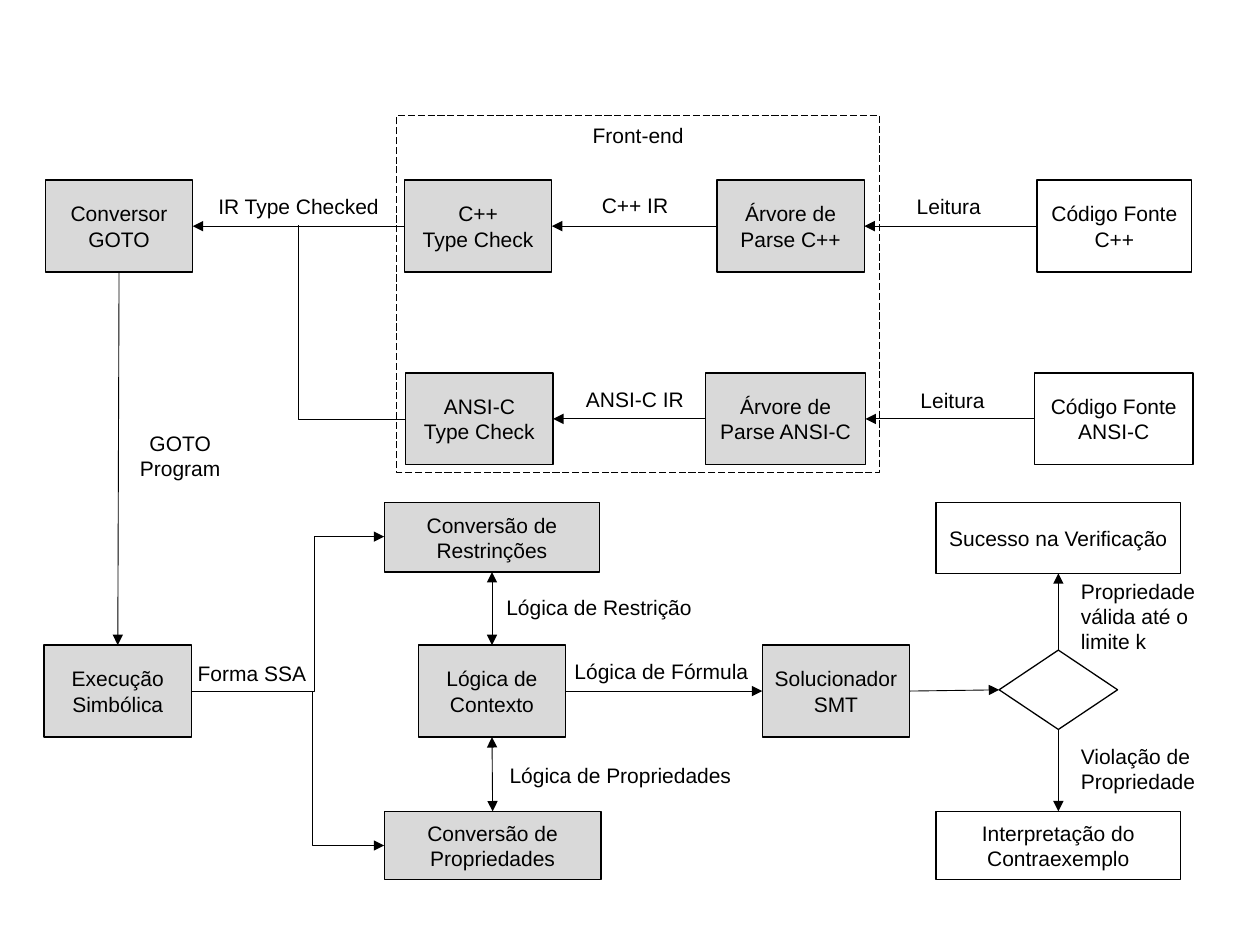
from typing import NamedTuple

from lxml.etree import SubElement
from pptx import Presentation
from pptx.dml.color import RGBColor
from pptx.enum.dml import MSO_LINE
from pptx.enum.shapes import MSO_CONNECTOR as Link, MSO_SHAPE as Preset
from pptx.enum.text import MSO_ANCHOR as Anchor, PP_ALIGN as Align
from pptx.oxml.ns import qn
from pptx.util import Inches, Pt

BLACK, WHITE, GREY = "000000", "FFFFFF", "D9D9D9"
TOP, LEFT, BOTTOM, RIGHT = range(4)  # connection sites


class Box(NamedTuple):
    """A stage of the verification flow."""
    key: str
    text: str
    left: float
    top: float
    width: float = 1.17
    height: float = 0.73
    fill: str = GREY
    preset: Preset = Preset.RECTANGLE


class Label(NamedTuple):
    """Free text beside an arrow."""
    text: str
    left: float
    top: float
    width: float
    height: float = 0.3
    align: Align = Align.CENTER


class Arrow(NamedTuple):
    """A straight arrow between the sites of two boxes."""
    start: str
    start_site: int
    end: str
    end_site: int
    double: bool = False


class Elbow(NamedTuple):
    """A bent line; bend is the share of the width before the turn."""
    start: tuple[float, float]
    end: tuple[float, float]
    bend: float
    arrow: bool = True


CPP_ROW, C_ROW, SMT_ROW = 1.43, 2.96, 5.12
BOXES = [
    Box("interpretation", "Interpretação do Contraexemplo", 7.43, 6.44, 1.94, 0.54, WHITE),
    Box("success", "Sucesso na Verificação", 7.43, 3.99, 1.94, 0.56, WHITE),
    Box("solver", "Solucionador\nSMT", 6.05, SMT_ROW),
    Box("properties", "Conversão de Propriedades", 3.05, 6.44, 1.72, 0.54),
    Box("constraints", "Conversão de Restrinções", 3.05, 3.99, 1.71, 0.55),
    Box("context", "Lógica de\nContexto", 3.32, SMT_ROW),
    Box("execution", "Execução Simbólica", 0.35, SMT_ROW),
    Box("converter", "Conversor GOTO", 0.36, CPP_ROW),
    Box("cpp check", "C++\nType Check", 3.21, CPP_ROW),
    Box("cpp tree", "Árvore de Parse C++", 5.69, CPP_ROW),
    Box("cpp source", "Código Fonte C++", 8.23, CPP_ROW, 1.23, fill=WHITE),
    Box("decision", "", 7.93, 5.16, 0.94, 0.63, WHITE, Preset.FLOWCHART_DECISION),
    Box("c source", "Código Fonte ANSI-C", 8.21, C_ROW, 1.26, fill=WHITE),
    Box("c check", "ANSI-C\nType Check", 3.22, C_ROW),
    Box("c tree", "Árvore de Parse ANSI-C", 5.6, C_ROW, 1.27),
]
FRONT_END = Box("front-end", "Front-end", 3.15, 0.92, 3.83, 2.83, fill="")
LABELS = [
    Label("Propriedade válida até o limite k", 8.48, 4.54, 1.2, 0.71, Align.LEFT),
    Label("Violação de Propriedade", 8.48, 5.85, 1.2, 0.5, Align.LEFT),
    Label("Leitura", 7.04, 1.49, 0.98),
    Label("C++ IR", 4.49, 1.48, 1.1),
    Label("IR Type Checked", 1.45, 1.49, 1.84),
    Label("GOTO\nProgram", 0.94, 3.37, 0.98, 0.5),
    Label("Forma SSA", 1.45, 5.19, 1.1),
    Label("ANSI-C IR", 4.49, 3.02, 1.1),
    Label("Leitura", 7.07, 3.03, 0.98),
    Label("Lógica de Fórmula", 4.45, 5.18, 1.6),
    Label("Lógica de Propriedades", 3.91, 6, 2.03),
    Label("Lógica de Restrição", 3.91, 4.67, 1.69),
]
ARROWS = [
    Arrow("cpp source", LEFT, "cpp tree", RIGHT),
    Arrow("cpp tree", LEFT, "cpp check", RIGHT),
    Arrow("cpp check", LEFT, "converter", RIGHT),
    Arrow("c source", LEFT, "c tree", RIGHT),
    Arrow("c tree", LEFT, "c check", RIGHT),
    Arrow("converter", BOTTOM, "execution", TOP),
    Arrow("context", TOP, "constraints", BOTTOM, True),
    Arrow("context", BOTTOM, "properties", TOP, True),
    Arrow("context", RIGHT, "solver", LEFT),
    Arrow("solver", RIGHT, "decision", LEFT),
    Arrow("decision", TOP, "success", BOTTOM),
    Arrow("decision", BOTTOM, "interpretation", TOP),
]
ELBOWS = [
    Elbow((1.52, 5.49), (3.05, 4.26), 0.64),
    Elbow((1.52, 5.49), (3.05, 6.71), 0.63),
    Elbow((3.22, 3.33), (2.37, 1.79), 1, arrow=False),
]


def colour(value: str) -> RGBColor:
    """Turn a hex string into a colour."""
    return RGBColor.from_string(value)


def write(shape, text: str, align: Align, anchor: Anchor, inset: float) -> None:
    """Set and format the text of a shape."""
    frame = shape.text_frame
    frame.word_wrap = True
    frame.vertical_anchor = anchor
    frame.margin_left = frame.margin_right = Inches(inset)
    frame.text = text
    for para in frame.paragraphs:
        para.alignment = align
        for span in para.runs:
            span.font.size, span.font.name = Pt(12), "Arial"
            span.font.color.rgb = colour(BLACK)


def outlined(shapes, box: Box, width: float = 0.75, anchor: Anchor = Anchor.MIDDLE):
    """Draw a black-edged shape, with centred text if it has any."""
    shape = shapes.add_shape(box.preset, *map(Inches, box[2:6]))
    shape.shadow.inherit = False
    shape.line.color.rgb = colour(BLACK)
    shape.line.width = Pt(width)
    if box.fill:
        shape.fill.solid()
        shape.fill.fore_color.rgb = colour(box.fill)
    else:
        shape.fill.background()
    if box.text:
        write(shape, box.text, Align.CENTER, anchor, 0.08)
    return shape


def add_label(shapes, label: Label) -> None:
    """Draw a text box."""
    shape = shapes.add_textbox(*map(Inches, label[1:5]))
    write(shape, label.text, label.align, Anchor.TOP, 0.1)


def add_line(shapes, kind: Link, start: tuple, end: tuple, heads: tuple):
    """Draw a thin black connector with the given arrowheads."""
    line = shapes.add_connector(kind, *map(Inches, (*start, *end)))
    line.line.color.rgb = colour(BLACK)
    line.line.width = Pt(0.5)
    outline = line._element.spPr.find(qn("a:ln"))
    for head in heads:
        SubElement(outline, qn(f"a:{head}"), type="triangle")
    SubElement(line._element.spPr, qn("a:effectLst"))
    return line


def add_arrow(shapes, arrow: Arrow, drawn: dict) -> None:
    """Join two boxes with a straight arrow."""
    heads = ("headEnd", "tailEnd") if arrow.double else ("tailEnd",)
    line = add_line(shapes, Link.STRAIGHT, (0, 0), (1, 1), heads)
    line.begin_connect(drawn[arrow.start], arrow.start_site)
    line.end_connect(drawn[arrow.end], arrow.end_site)


def add_elbow(shapes, elbow: Elbow) -> None:
    """Draw a bent line that turns at its own share of the width."""
    heads = ("tailEnd",) if elbow.arrow else ()
    line = add_line(shapes, Link.ELBOW, elbow.start, elbow.end, heads)
    guides = line._element.spPr.find(qn("a:prstGeom")).find(qn("a:avLst"))
    SubElement(guides, qn("a:gd"), name="adj1", fmla=f"val {round(elbow.bend * 100000)}")


def main() -> None:
    """Build the verification flow slide."""
    deck = Presentation()
    deck.slide_width, deck.slide_height = Inches(10), Inches(7.5)
    shapes = deck.slides.add_slide(deck.slide_layouts[6]).shapes
    drawn = {box.key: outlined(shapes, box) for box in BOXES}
    for arrow in ARROWS:
        add_arrow(shapes, arrow, drawn)
    for elbow in ELBOWS:
        add_elbow(shapes, elbow)
    frame = outlined(shapes, FRONT_END, 0.5, Anchor.TOP)
    frame.line.dash_style = MSO_LINE.LONG_DASH
    for label in LABELS:
        add_label(shapes, label)
    deck.save("out.pptx")


main()
